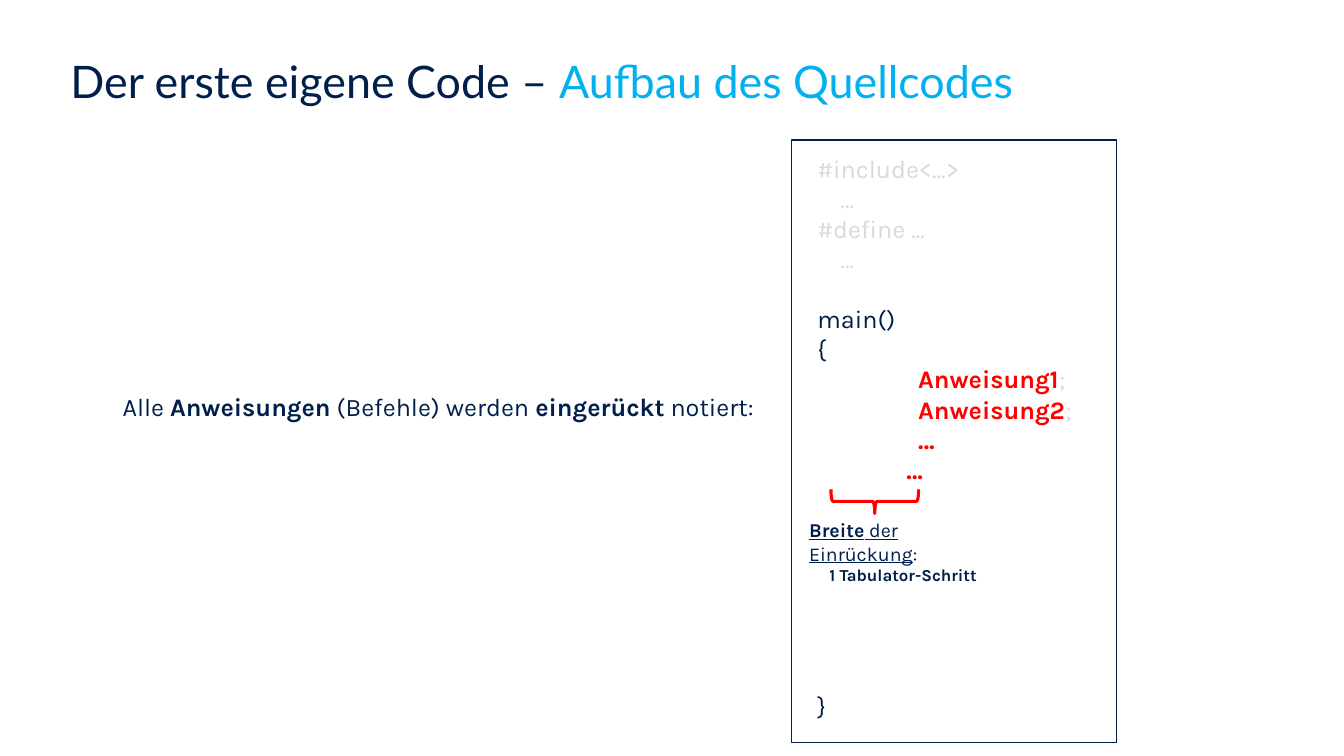
"""Builds the slide on the structure of source code and its indentation."""
from pptx import Presentation
from pptx.dml.color import RGBColor
from pptx.enum import shapes, text
from pptx.util import Cm, Pt

NAVY, CYAN, RED, GREY = "00204B", "00B0F0", "FF0000", "D9D9D9"
LINE_PT = 21
TAB = 2.54

TITLE = [("Der erste eigene Code – ", NAVY, ""), ("Aufbau des Quellcodes", CYAN, "")]

# Each paragraph: runs (text, colour, style), indent in cm, skipped lines, size
CODE = [
    ([("#include<…>", GREY, "")], 0, 0, 18),
    ([("…", GREY, "")], 0.58, 0, 18),
    ([("#define …", GREY, "")], 0, 0, 18),
    ([("…", GREY, "")], 0.58, 0, 18),
    ([("main()", NAVY, "")], 0, 1, 18),
    ([("{", NAVY, "")], 0, 0, 18),
    ([("Anweisung1", RED, "b"), (";", GREY, "")], TAB, 0, 18),
    ([("Anweisung2", RED, "b"), (";", GREY, "")], TAB, 0, 18),
    ([("…", RED, "b")], TAB, 0, 18),
    ([("…", RED, "b")], 2.24, 0, 18),
    ([("}", NAVY, "")], 0, 7, 18),
]
RULE = [
    ([("Alle ", NAVY, ""), ("Anweisungen", NAVY, "b"), (" (Befehle) werden ", NAVY, ""),
      ("eingerückt", NAVY, "b"), (" notiert:", NAVY, "")], 0, 0, 18),
]
WIDTH_NOTE = [
    ([("Breite", NAVY, "bu"), (" der Einrückung", NAVY, "u"), (":", NAVY, "")], 0, 0, 14),
    ([("1 Tabulator-Schritt", NAVY, "b")], 0.51, 0, 12),
]
TEXT_BOXES = [
    (CODE, (20.35, 3.73, 7.04, 15.65)),
    (RULE, (2.84, 9.73, 16.41, 1.02)),
    (WIDTH_NOTE, (20.14, 12.93, 5.51, 1.37)),
]
OUTLINES = [
    (shapes.MSO_SHAPE.RECTANGLE, (19.94, 3.53, 8.2, 15.19), 0, NAVY, 0.85),
    (shapes.MSO_SHAPE.RIGHT_BRACE, (21.74, 11.53, 0.61, 2.21), 90, RED, 2.25),
]


def color(value):
    return RGBColor.from_string(value)


def add_runs(p, runs, font, size):
    p.font.name, p.font.size = font, Pt(size)
    for words, hue, style in runs:
        r = p.add_run()
        r.text = words
        r.font.color.rgb = color(hue)
        r.font.bold = "b" in style
        r.font.underline = "u" in style


def add_text(s, paragraphs, box):
    tf = s.shapes.add_textbox(*map(Cm, box)).text_frame
    tf.word_wrap = True
    for i, (runs, indent, skipped, size) in enumerate(paragraphs):
        p = tf.add_paragraph() if i else tf.paragraphs[0]
        p.space_before = Pt(skipped * LINE_PT)
        p._p.get_or_add_pPr().set("marL", str(Cm(indent)))
        add_runs(p, runs, "Karla", size)


def add_outline(s, kind, box, rotation, hue, width):
    sp = s.shapes.add_shape(kind, *map(Cm, box))
    sp.rotation = rotation
    sp.shadow.inherit = False
    sp.fill.background()
    sp.line.color.rgb = color(hue)
    sp.line.width = Pt(width)


def main():
    prs = Presentation()
    prs.slide_width, prs.slide_height = Cm(33.87), Cm(19.05)
    s = prs.slides.add_slide(prs.slide_layouts[5])

    title = s.shapes.title
    title.left, title.top, title.width, title.height = map(Cm, (1.52, 1.22, 30.94, 2.01))
    tf = title.text_frame
    tf.vertical_anchor = text.MSO_ANCHOR.TOP
    p = tf.paragraphs[0]
    p.alignment = text.PP_ALIGN.LEFT
    add_runs(p, TITLE, "Lato", 32)

    for paragraphs, box in TEXT_BOXES:
        add_text(s, paragraphs, box)
    for outline in OUTLINES:
        add_outline(s, *outline)

    prs.save("out.pptx")


if __name__ == "__main__":
    main()
